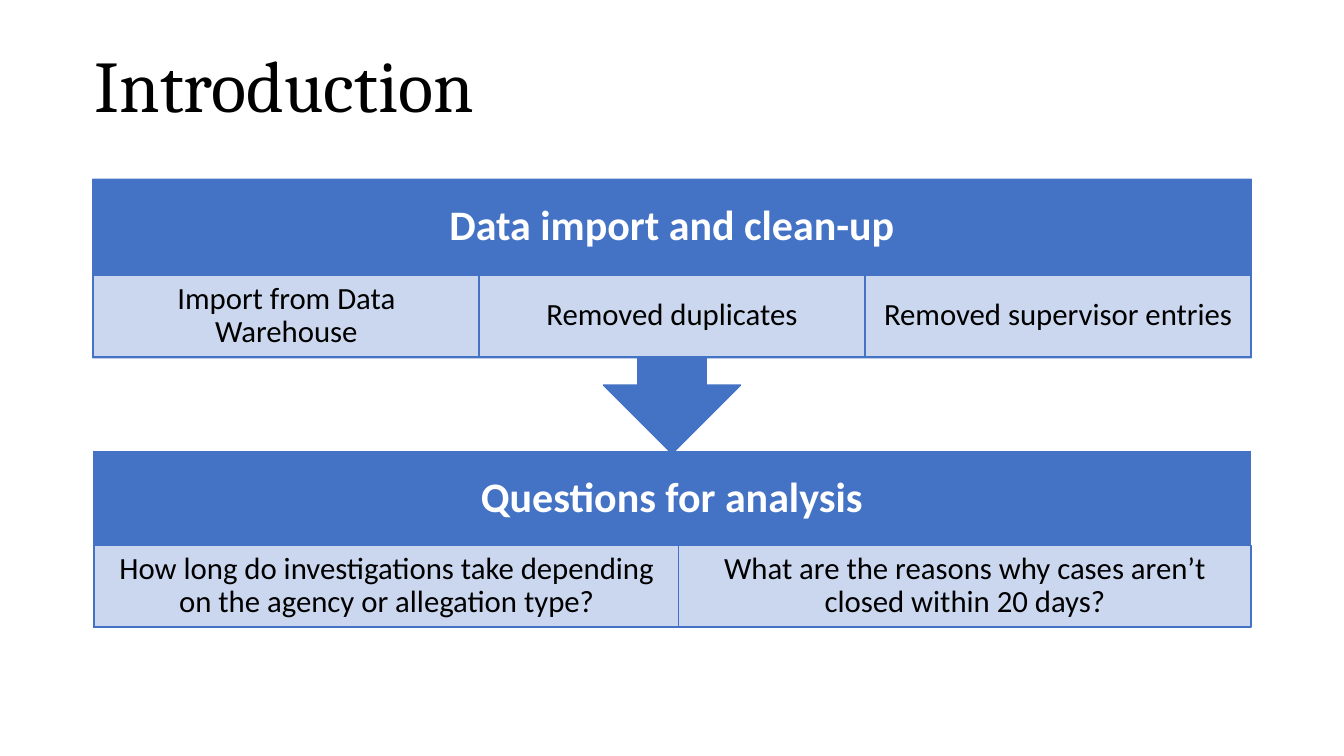
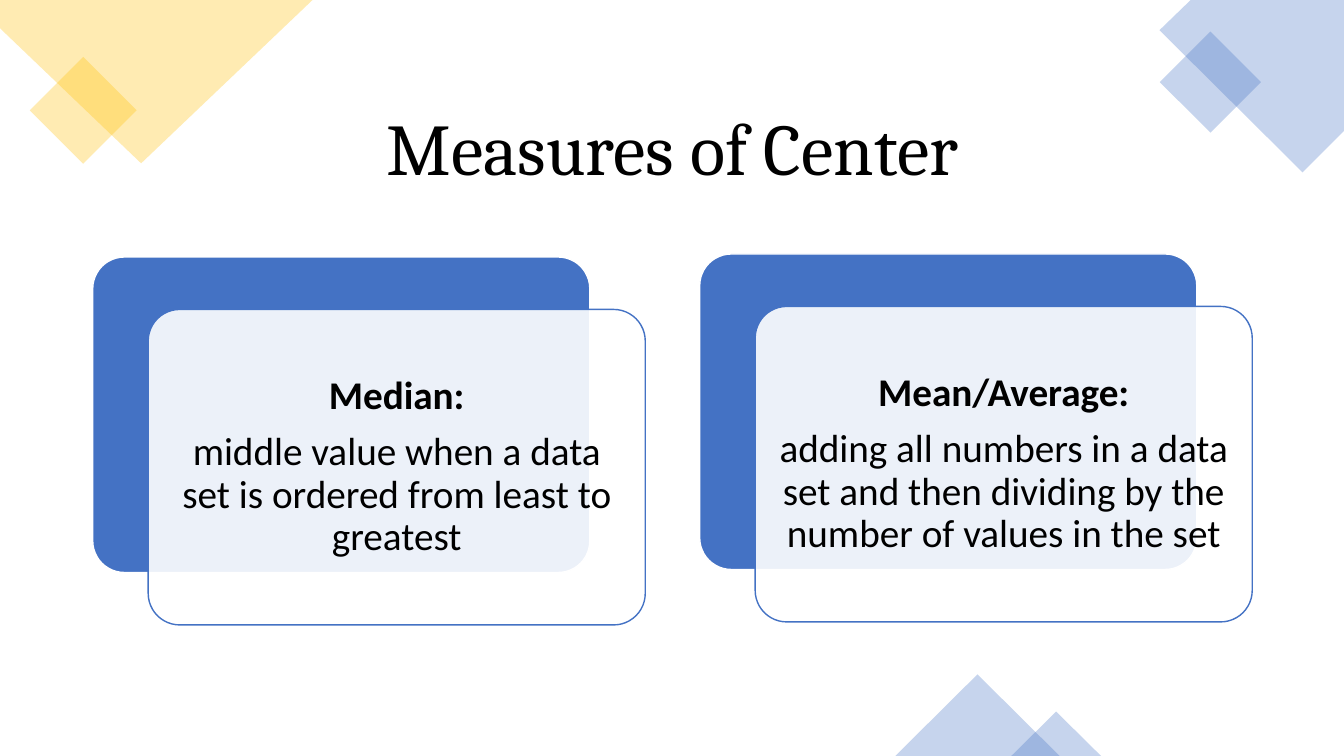
from dataclasses import dataclass

from lxml import etree
from pptx import Presentation
from pptx import util as u
from pptx.dml.color import RGBColor
from pptx.enum import shapes, text
from pptx.oxml.ns import qn

PX = 9144  # EMU per px, 100 px to the inch
SHAPE = shapes.MSO_SHAPE
ALIGN = text.PP_ALIGN


@dataclass(frozen=True)
class Theme:
    blue: str = "4472C4"
    pale: str = "DAE3F3"
    gold: str = "FFC000"
    white: str = "FFFFFF"
    black: str = "000000"
    title_font: str = "Cambria"
    body_font: str = "Calibri"
    title_size: int = 52
    band_size: int = 30
    card_size: int = 28
    cell_size: int = 22
    line_spacing: float = 0.9
    paragraph_gap: int = 10
    tint: int = 30
    veil: int = 90


class SlideBuilder:
    """Holds the style and the slide being drawn."""

    def __init__(self, deck, theme):
        self.deck, self.theme, self.page = deck, theme, None

    def new_page(self):
        self.page = self.deck.slides.add_slide(self.deck.slide_layouts[6])

    def paint(self, shape, fill, opacity=100, line=None):
        shape.shadow.inherit = False
        shape.fill.solid()
        shape.fill.fore_color.rgb = RGBColor.from_string(fill)
        if opacity < 100:
            color = shape.element.spPr.find(qn("a:solidFill"))[0]
            etree.SubElement(color, qn("a:alpha")).set("val", str(opacity * 1000))
        if line:
            shape.line.color.rgb = RGBColor.from_string(line)
            shape.line.width = u.Pt(1)
        else:
            shape.line.fill.background()

    def shape(self, kind, left, top, width, height, fill, opacity=100, line=None, turn=0):
        shape = self.page.shapes.add_shape(
            kind, left * PX, top * PX, width * PX, height * PX)
        shape.rotation = turn
        self.paint(shape, fill, opacity, line)
        return shape

    def polygon(self, points, fill, opacity):
        builder = self.page.shapes.build_freeform(*points[0], scale=PX)
        builder.add_line_segments(points[1:], close=True)
        self.paint(builder.convert_to_shape(), fill, opacity)

    def set_text(self, shape, lines, size, color, margins=(10, 5, 10, 5),
                 align=ALIGN.CENTER, font=None):
        """Fill a shape with (words, bold) lines; margins run left, top, right, bottom."""
        frame = shape.text_frame
        frame.word_wrap = True
        frame.vertical_anchor = text.MSO_ANCHOR.MIDDLE
        (frame.margin_left, frame.margin_top,
         frame.margin_right, frame.margin_bottom) = [m * PX for m in margins]
        for index, (words, bold) in enumerate(lines):
            para = frame.add_paragraph() if index else frame.paragraphs[0]
            para.text = words
            para.alignment = align
            para.line_spacing = self.theme.line_spacing
            para.space_before = u.Pt(self.theme.paragraph_gap if index else 0)
            para.font.name = font or self.theme.body_font
            para.font.size = u.Pt(size)
            para.font.bold = bold
            para.font.color.rgb = RGBColor.from_string(color)

    def title(self, words, left, top, width, height, align):
        box = self.page.shapes.add_textbox(left * PX, top * PX, width * PX, height * PX)
        self.set_text(box, [(words, False)], self.theme.title_size, self.theme.black,
                      align=align, font=self.theme.title_font)

    def band(self, kind, top, height, line, heading):
        """A full-width block whose heading stands above a row of cells."""
        block = self.shape(kind, 92, top, 1149, height, self.theme.blue, line=line)
        self.set_text(block, [(heading, True)], self.theme.band_size, self.theme.white,
                      margins=(23, 0, 23, 82))
        return block

    def cells(self, left, top, columns):
        for width, words in columns:
            cell = self.shape(SHAPE.RECTANGLE, left, top, width, 81,
                              self.theme.pale, self.theme.veil, self.theme.blue)
            self.set_text(cell, [(words, False)], self.theme.cell_size,
                          self.theme.black, margins=(17, 3, 17, 3))
            left += width

    def card(self, left, top, term, meaning):
        """A blue card with a translucent white one shifted over it."""
        theme = self.theme
        back = self.shape(SHAPE.ROUNDED_RECTANGLE, left, top, 493, 313,
                          theme.blue, line=theme.white)
        front = self.shape(SHAPE.ROUNDED_RECTANGLE, left + 55, top + 52, 493, 313,
                           theme.white, theme.veil, theme.blue)
        for sheet in (back, front):
            sheet.adjustments[0] = 0.1
        self.set_text(front, [(term, True), (meaning, False)], theme.card_size,
                      theme.black, margins=(12, 12, 12, 12))


def introduction(slides):
    theme = slides.theme
    slides.new_page()
    slides.title("Introduction", 84, 20, 1133, 136, ALIGN.LEFT)

    # Lower block: questions
    slides.band(SHAPE.RECTANGLE, 447, 177, theme.white, "Questions for analysis")
    slides.cells(94, 541, [
        (579, "How long do investigations take depending on the agency or allegation type?"),
        (568, "What are the reasons why cases aren’t closed within 20 days?"),
    ])

    # Upper block: preparation, pointing down
    callout = slides.band(SHAPE.DOWN_ARROW_CALLOUT, 178, 272, theme.blue,
                          "Data import and clean-up")
    for index, ratio in enumerate((0.25, 0.25, 0.25, 0.65)):
        callout.adjustments[index] = ratio
    slides.cells(93, 273, [
        (382, "Import from Data Warehouse"),
        (383, "Removed duplicates"),
        (383, "Removed supervisor entries"),
    ])


def measures_of_center(slides):
    theme = slides.theme
    slides.new_page()

    # Corner decoration
    slides.shape(SHAPE.RECTANGLE, 45, 72, 75, 75, theme.gold, theme.tint, turn=45)
    slides.polygon([(0, 0), (310, 0), (140, 162), (0, 28)], theme.gold, theme.tint)
    slides.polygon([(1181, 0), (1333, 0), (1333, 130), (1292, 171), (1150, 30)],
                   theme.blue, theme.tint)
    slides.shape(SHAPE.RECTANGLE, 1165, 46, 71, 71, theme.blue, theme.tint, turn=45)
    for left, top, width, height in ((888, 669, 163, 81), (1003, 706, 89, 44)):
        slides.shape(SHAPE.ISOSCELES_TRIANGLE, left, top, width, height,
                     theme.blue, theme.tint)

    slides.title("Measures of Center", 92, 89, 1150, 124, ALIGN.CENTER)

    # Definitions
    slides.card(92, 255, "Median:",
                "middle value when a data set is ordered from least to greatest")
    slides.card(694, 252, "Mean/Average:",
                "adding all numbers in a data set and then dividing by "
                "the number of values in the set")


def main():
    deck = Presentation()
    deck.slide_width, deck.slide_height = 1333 * PX, 750 * PX
    slides = SlideBuilder(deck, Theme())
    introduction(slides)
    measures_of_center(slides)
    deck.save("out.pptx")


if __name__ == "__main__":
    main()
